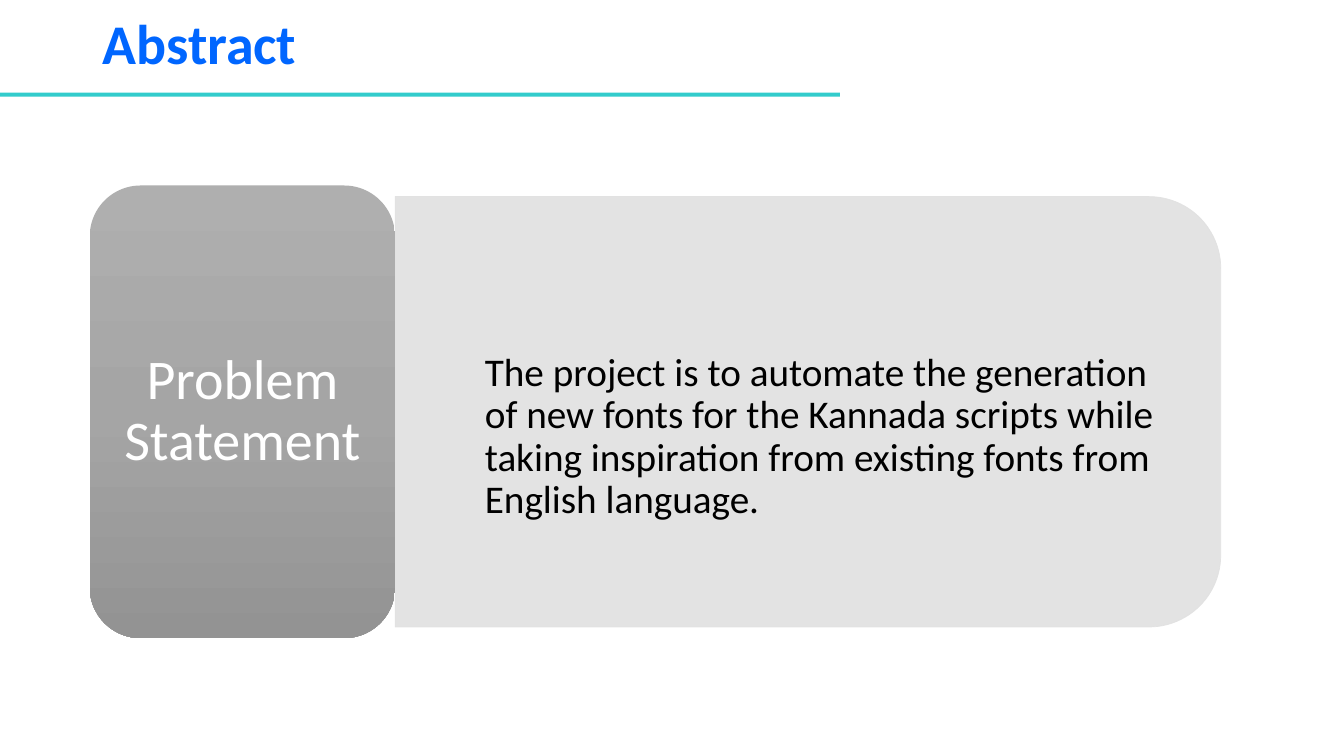
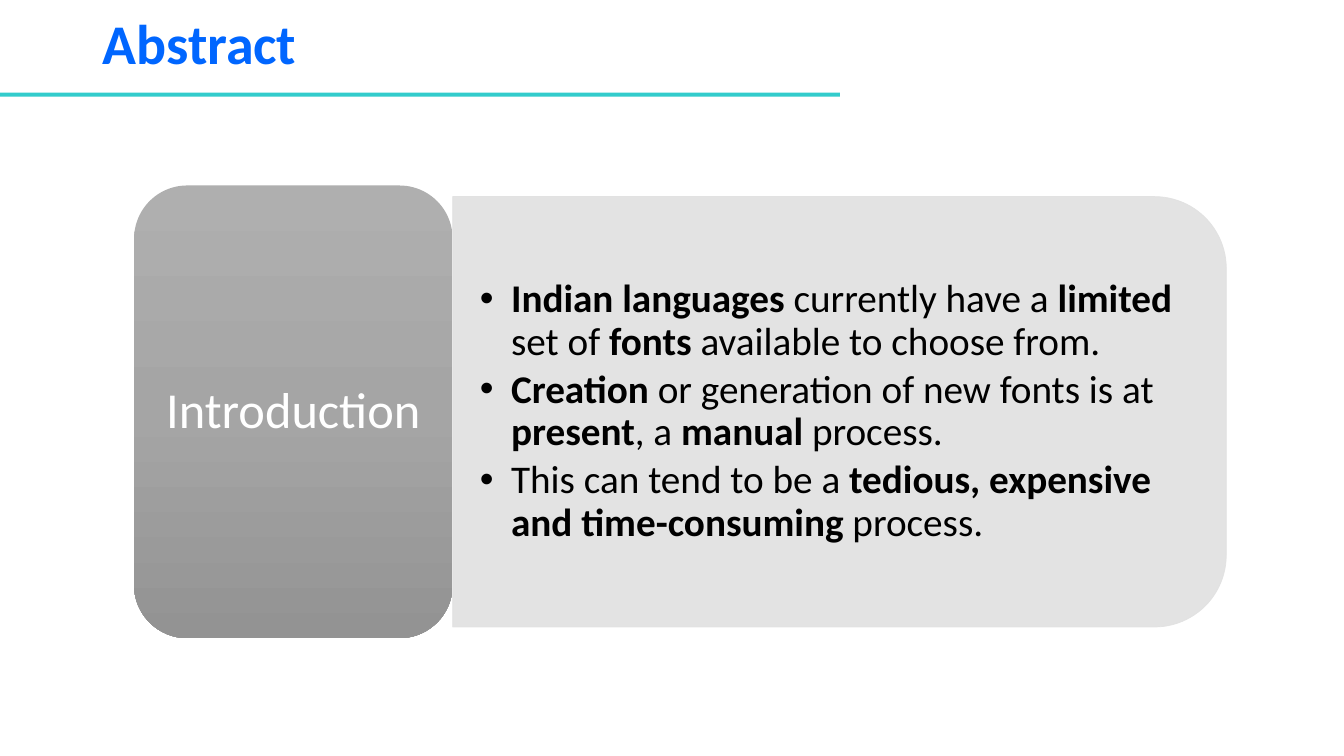
from copy import deepcopy
from dataclasses import dataclass

from lxml.etree import SubElement
from pptx import Presentation
from pptx.dml.color import RGBColor
from pptx.enum.shapes import MSO_SHAPE
from pptx.enum.text import MSO_ANCHOR, PP_ALIGN
from pptx.oxml.ns import qn
from pptx.shapes.autoshape import Shape
from pptx.slide import Slide
from pptx.text.text import TextFrame, _Paragraph
from pptx.util import Emu, Inches, Pt

SLIDE_WIDTH, SLIDE_HEIGHT = Inches(13.333), Inches(7.5)
FONT = "Calibri"
BLUE, TEAL, BLACK, WHITE, PANEL_GREY = "0066FF", "33CCCC", "000000", "FFFFFF", "E1E1E1"
CARD_GRADIENT = ("AFAFAF", "A5A5A5", "939393")

# All positions are percentages of the slide's width or height.
HEADER_HEIGHT = 12.27
MIDDLE = 54.47
CARD_HEIGHT, PANEL_HEIGHT, TEXT_HEIGHT = 59.87, 56.93, 51.33
PANEL_TEXT_MARGIN = 1.56
BULLET_INDENT = Inches(0.31)


@dataclass(frozen=True)
class Topic:
    """A labelled card and its panel; asterisks in the points enclose bold words."""
    label: str
    label_size: int
    points: tuple[str, ...]
    left: float
    split: float
    right: float
    bulleted: bool = True
    text_drop: float = 0


TOPICS = (
    Topic("Problem Statement", 40,
          ("The project is to automate the generation of new fonts for the Kannada "
           "scripts while taking inspiration from existing fonts from English language.",),
          left=6.68, split=29.4, right=90.83, bulleted=False, text_drop=6.8),
    Topic("Introduction", 36,
          ("*Indian languages *currently have a *limited* set of *fonts* available to choose from.",
           "*Creation* or generation of new fonts is at *present*, a *manual* process.",
           "This can tend to be a *tedious, expensive and time-consuming* process."),
          left=9.98, split=33.68, right=91.24),
)


def color(value: str) -> RGBColor:
    return RGBColor.from_string(value)


def across(share: float) -> Emu:
    return Emu(round(SLIDE_WIDTH * share / 100))


def down(share: float) -> Emu:
    return Emu(round(SLIDE_HEIGHT * share / 100))


def add_plain_shape(page: Slide, kind: MSO_SHAPE, left: Emu, top: Emu,
                    width: Emu, height: Emu) -> Shape:
    shape = page.shapes.add_shape(kind, left, top, width, height)
    shape.shadow.inherit = False
    shape.line.fill.background()
    return shape


def set_frame(frame: TextFrame, side: float, edge: float) -> None:
    """Wrap and centre the frame vertically, with margins in inches."""
    frame.word_wrap = True
    frame.vertical_anchor = MSO_ANCHOR.MIDDLE
    frame.margin_left = frame.margin_right = Inches(side)
    frame.margin_top = frame.margin_bottom = Inches(edge)


def write(para: _Paragraph, text: str, size: int, text_color: str, bold: bool = False) -> None:
    """Fill the paragraph, switching bold at each asterisk."""
    para.line_spacing = 0.9
    for index, part in enumerate(text.split("*")):
        if part:
            span = para.add_run()
            span.text = part
            span.font.name, span.font.size = FONT, Pt(size)
            span.font.bold = bold or index % 2 == 1
            span.font.color.rgb = color(text_color)


def add_header(page: Slide, title: str) -> None:
    band = add_plain_shape(page, MSO_SHAPE.RECTANGLE, Emu(0), down(HEADER_HEIGHT),
                           across(62.5), down(0.53))
    band.fill.solid()
    band.fill.fore_color.rgb = color(TEAL)
    box = page.shapes.add_textbox(across(6.9), Emu(0), across(86.25), down(HEADER_HEIGHT))
    set_frame(box.text_frame, 0.1, 0.05)
    write(box.text_frame.paragraphs[0], title, 40, BLUE, bold=True)


def add_panel(page: Slide, topic: Topic) -> None:
    """Draw the panel as a tab turned a quarter, so its right corners are round."""
    length, thickness = across(topic.right - topic.split), down(PANEL_HEIGHT)
    center = across((topic.split + topic.right) / 2)
    panel = add_plain_shape(page, MSO_SHAPE.ROUND_2_SAME_RECTANGLE,
                            Emu(center - thickness // 2), Emu(down(MIDDLE) - length // 2),
                            thickness, length)
    panel.rotation = 90
    panel.line.width = Pt(0.5)
    for fill in (panel.fill, panel.line.fill):
        fill.solid()
        fill.fore_color.rgb = color(PANEL_GREY)
    for tone in panel.element.spPr.iter(qn("a:srgbClr")):
        SubElement(tone, qn("a:alpha"), val="90000")


def add_points(page: Slide, topic: Topic) -> None:
    box = page.shapes.add_textbox(across(topic.split), down(MIDDLE - TEXT_HEIGHT / 2),
                                  across(topic.right - topic.split - PANEL_TEXT_MARGIN),
                                  down(TEXT_HEIGHT))
    frame = box.text_frame
    set_frame(frame, 0.27, 0.14)
    frame.margin_top += down(topic.text_drop)
    for index, point in enumerate(topic.points):
        para = frame.add_paragraph() if index else frame.paragraphs[0]
        write(para, point, 28, BLACK)
        para.space_after = Pt(4.2)
        properties = para._p.get_or_add_pPr()
        if topic.bulleted:
            properties.set("marL", str(BULLET_INDENT))
            properties.set("indent", str(-BULLET_INDENT))
            SubElement(properties, qn("a:buFont"), typeface="Arial")
            SubElement(properties, qn("a:buChar"), char="•")
        else:
            properties.set("marL", str(2 * BULLET_INDENT))


def add_card(page: Slide, topic: Topic) -> None:
    card = add_plain_shape(page, MSO_SHAPE.ROUNDED_RECTANGLE, across(topic.left),
                           down(MIDDLE - CARD_HEIGHT / 2), across(topic.split - topic.left),
                           down(CARD_HEIGHT))
    card.fill.gradient()
    card.fill.gradient_angle = 270
    stop_list = card.element.spPr.find(".//" + qn("a:gsLst"))
    stop_list.append(deepcopy(stop_list[-1]))
    for index, (stop, tone) in enumerate(zip(card.fill.gradient_stops, CARD_GRADIENT)):
        stop.color.rgb = color(tone)
        stop.position = index / 2
    set_frame(card.text_frame, 0.15, 0.08)
    para = card.text_frame.paragraphs[0]
    para.alignment = PP_ALIGN.CENTER
    write(para, topic.label, topic.label_size, WHITE)


def main() -> None:
    deck = Presentation()
    deck.slide_width, deck.slide_height = SLIDE_WIDTH, SLIDE_HEIGHT
    for topic in TOPICS:
        page = deck.slides.add_slide(deck.slide_layouts[6])
        add_header(page, "Abstract")
        add_panel(page, topic)
        add_points(page, topic)
        add_card(page, topic)
    deck.save("out.pptx")


if __name__ == "__main__":
    main()
